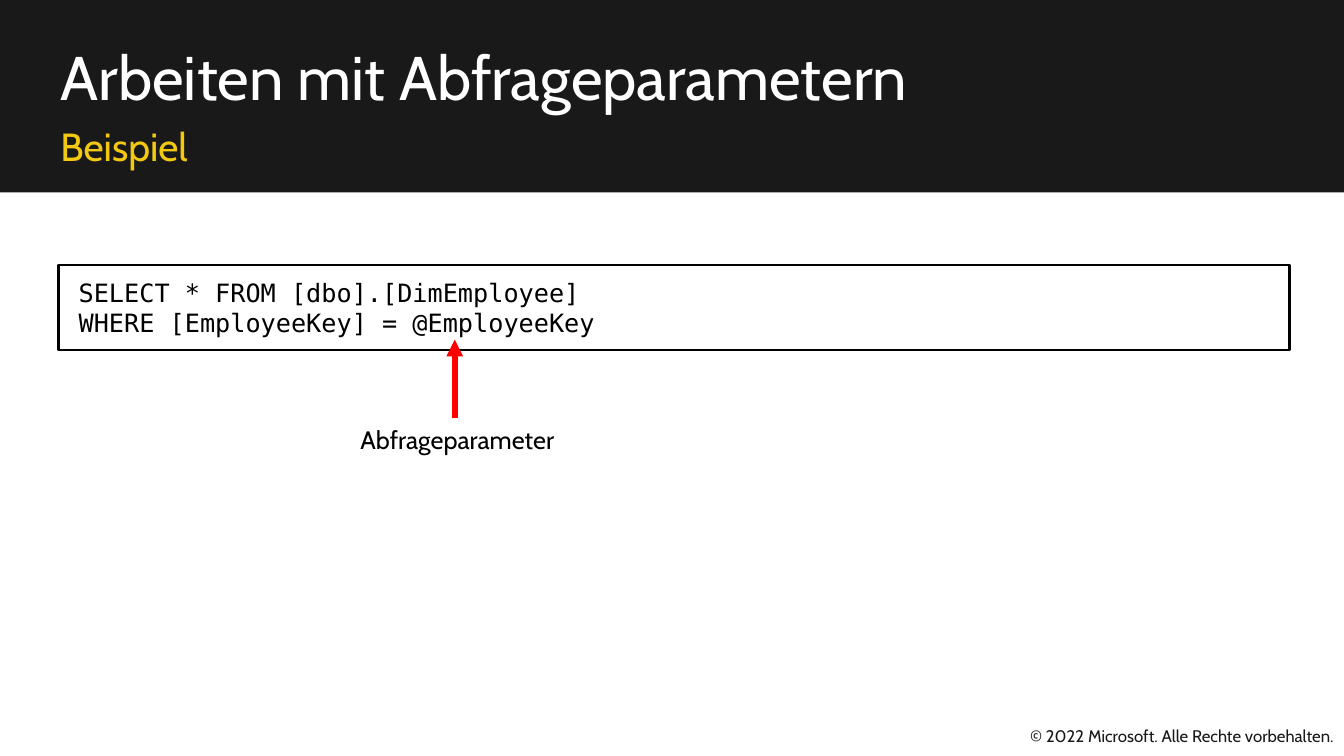
from dataclasses import dataclass
from lxml import etree
from pptx import Presentation
from pptx.dml.color import RGBColor
from pptx.enum.shapes import MSO_CONNECTOR, MSO_SHAPE
from pptx.enum.text import MSO_ANCHOR, MSO_AUTO_SIZE, PP_ALIGN
from pptx.oxml.ns import qn
from pptx.util import Inches, Pt

RECT = MSO_SHAPE.RECTANGLE
LINE = MSO_CONNECTOR.STRAIGHT
TOP, MID = MSO_ANCHOR.TOP, MSO_ANCHOR.MIDDLE
LEFT, MIDST, RIGHT = PP_ALIGN.LEFT, PP_ALIGN.CENTER, PP_ALIGN.RIGHT


@dataclass(frozen=True)
class Theme:
    dark: RGBColor = RGBColor(0x19, 0x19, 0x19)
    white: RGBColor = RGBColor(0xFF, 0xFF, 0xFF)
    black: RGBColor = RGBColor(0, 0, 0)
    gold: RGBColor = RGBColor(0xF2, 0xC8, 0x11)
    red: RGBColor = RGBColor(0xFF, 0, 0)
    sans: str = "Cabin"
    mono: str = "DejaVu Sans Mono"
    head: Pt = Pt(44)
    sub: Pt = Pt(28)
    body: Pt = Pt(18)
    foot: Pt = Pt(12)


theme = Theme()


def write(shape, lines, size, color, font=theme.sans, align=LEFT, anchor=TOP, space=1.0):
    frame = shape.text_frame
    frame.word_wrap = True
    frame.auto_size = MSO_AUTO_SIZE.NONE
    frame.vertical_anchor = anchor
    frame.text = "\n".join(lines)
    for para in frame.paragraphs:
        para.alignment = align
        para.line_spacing = space
        para.font.name = font
        para.font.size = size
        para.font.color.rgb = color


def place(shape, left, top, width, height):
    shape.left, shape.top = Inches(left), Inches(top)
    shape.width, shape.height = Inches(width), Inches(height)


deck = Presentation()
deck.slide_width, deck.slide_height = Inches(13.33), Inches(7.5)
slide = deck.slides.add_slide(deck.slide_layouts[5])
shapes = slide.shapes

# Header band, behind the title
band = shapes.add_shape(RECT, 0, 0, deck.slide_width, Inches(1.91))
band.shadow.inherit = False
band.fill.solid()
band.fill.fore_color.rgb = theme.dark
band.line.fill.background()
title = shapes.title
title._element.addprevious(band._element)

# Title and subtitle
place(title, 0.5, 0.42, 12.29, 0.76)
write(title, ["Arbeiten mit Abfrageparametern"], theme.head, theme.white, space=0.9)
sub = shapes.add_textbox(Inches(0.5), Inches(1.18), Inches(12.29), Inches(0.59))
write(sub, ["Beispiel"], theme.sub, theme.gold, anchor=MID, space=0.9)

# Query box
query = shapes.add_shape(RECT, Inches(0.58), Inches(2.63), Inches(12.21), Inches(0.84))
query.shadow.inherit = False
query.fill.solid()
query.fill.fore_color.rgb = theme.white
query.line.color.rgb = theme.black
query.line.width = Pt(1.5)
code = ["SELECT * FROM [dbo].[DimEmployee]", "WHERE [EmployeeKey] = @EmployeeKey"]
write(query, code, theme.body, theme.black, font=theme.mono, anchor=MID)
frame = query.text_frame
frame.margin_left = Inches(0.2)
frame.margin_top = frame.margin_bottom = Inches(0.12)

# Label with an arrow up to the parameter
label = shapes.add_textbox(Inches(3.39), Inches(4.16), Inches(2.29), Inches(0.4))
write(label, ["Abfrageparameter"], theme.body, theme.black, align=MIDST)
arrow = shapes.add_connector(LINE, Inches(4.51), Inches(4.15), Inches(4.51), Inches(3.37))
arrow.line.color.rgb = theme.red
arrow.line.width = Pt(4)
etree.SubElement(arrow.line._get_or_add_ln(), qn("a:tailEnd"), type="triangle")
etree.SubElement(arrow._element.spPr, qn("a:effectLst"))

# Copyright line
foot = shapes.add_textbox(Inches(9.9), Inches(7.1), Inches(3.43), Inches(0.4))
write(foot, ["© 2022 Microsoft. Alle Rechte vorbehalten."], theme.foot, theme.dark,
      align=RIGHT, anchor=MID)

deck.save("out.pptx")
